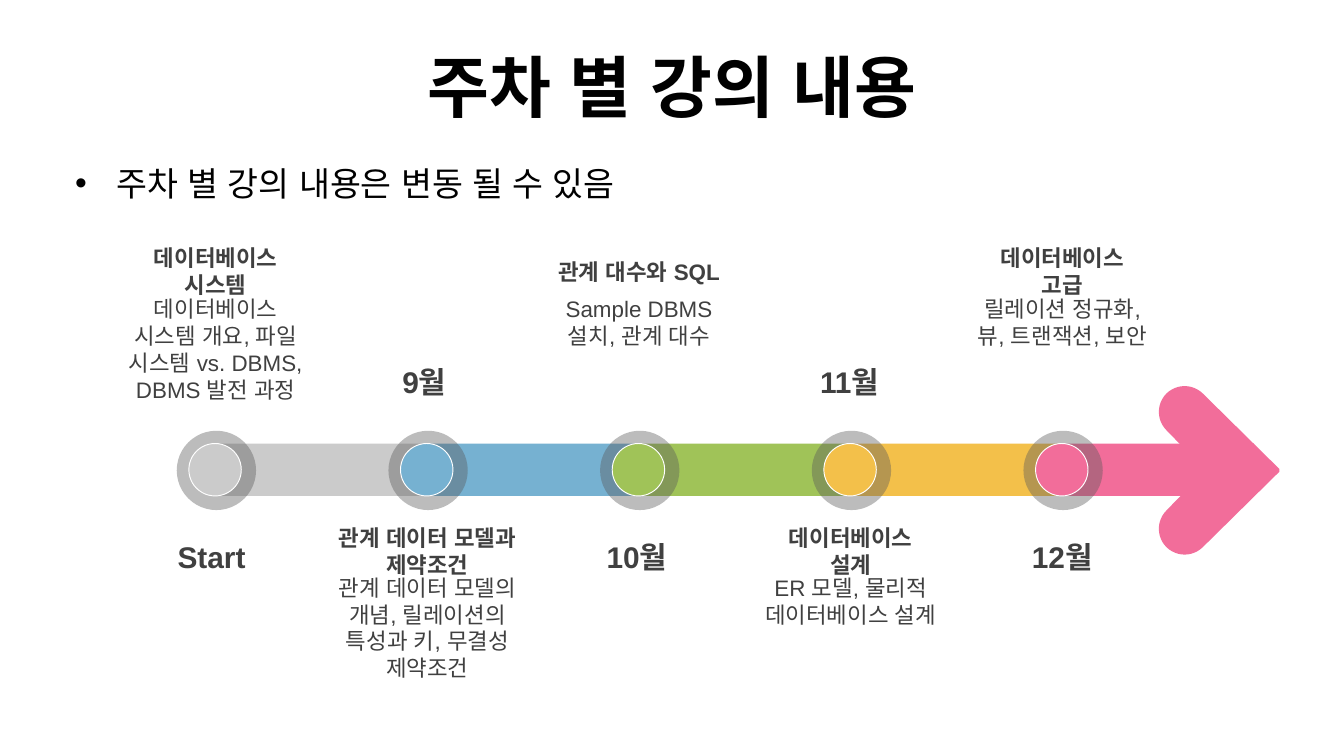
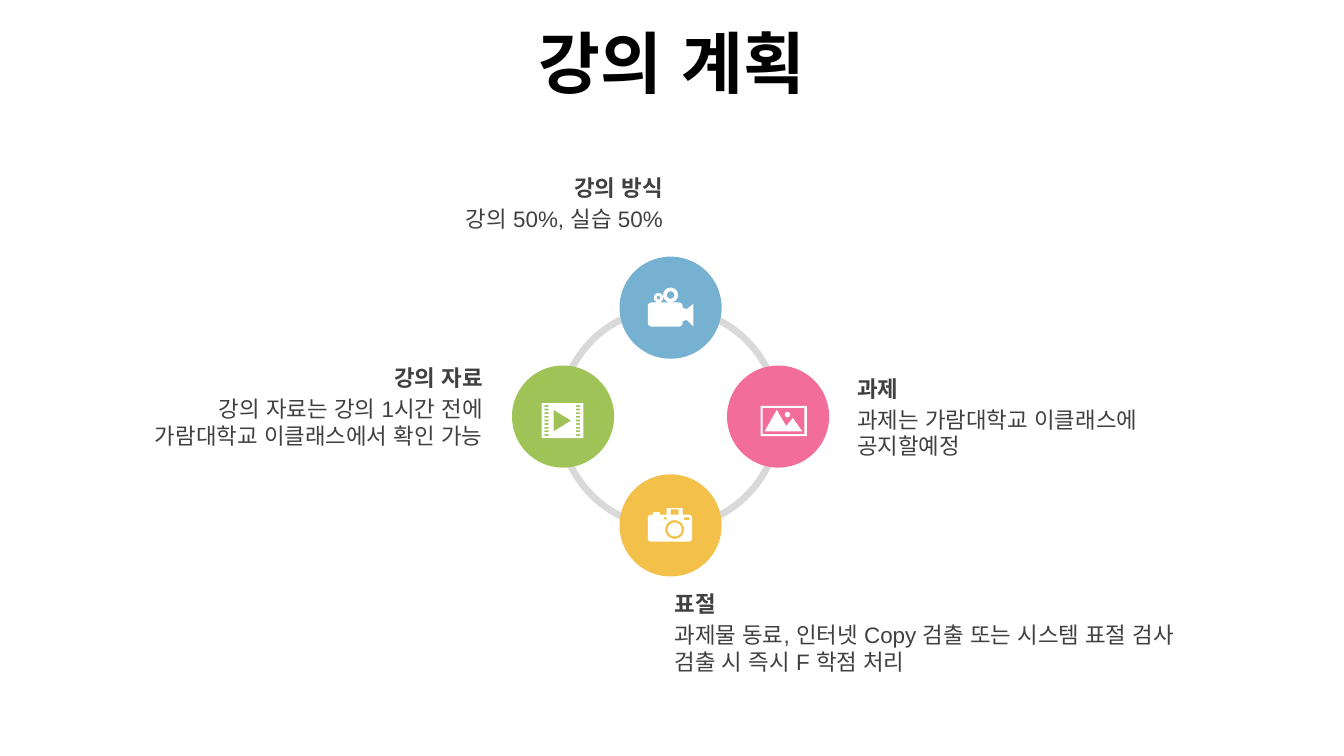
"""Builds two course slides: a monthly timeline and a lecture plan cycle."""
import math

import lxml.etree
import pptx
import pptx.dml.color
import pptx.enum.lang
import pptx.enum.shapes
import pptx.enum.text
import pptx.oxml.ns
import pptx.util

SHAPE = pptx.enum.shapes.MSO_SHAPE
ALIGN = pptx.enum.text.PP_ALIGN
ANCHOR = pptx.enum.text.MSO_ANCHOR
KOREAN = pptx.enum.lang.MSO_LANGUAGE_ID.KOREAN

GRAY, BLUE, GREEN, YELLOW, PINK = "CBCBCB", "76B1D1", "A0C358", "F3C04A", "F26D9A"
WHITE, BLACK, INK, HALO, RING = "FFFFFF", "000000", "404040", "595959", "D9D9D9"
COLUMNS = 100


def rgb(code):
    return pptx.dml.color.RGBColor.from_string(code)


def apply(target, values):
    for name, value in values.items():
        setattr(target, name, value)


def xml_child(parent, tag, **attributes):
    return lxml.etree.SubElement(parent, pptx.oxml.ns.qn(tag), **attributes)


def arc(x, y, radius, start=0, sweep=360):
    angles = [math.radians(start + sweep * step / 24) for step in range(25)]
    return [(x + radius * math.cos(a), y + radius * math.sin(a)) for a in angles]


def box(x, y, width, height):
    return [(x, y), (x + width, y), (x + width, y + height), (x, y + height)]


def rounded(x, y, width, height, radius):
    corners = box(x + radius, y + radius, width - 2 * radius, height - 2 * radius)
    return [point for turn, corner in enumerate(corners)
            for point in arc(*corner, radius, 180 + 90 * turn, 90)]


class Deck:
    """Holds the style and the current slide; lengths are in grid columns, square cells."""

    def __init__(self):
        self.show = pptx.Presentation()
        apply(self.show, {"slide_width": pptx.util.Pt(720),
                          "slide_height": pptx.util.Pt(405)})
        self.cell = self.show.slide_width / COLUMNS
        self.slide = None

    def grid(self, *lengths):
        return [pptx.util.Emu(round(length * self.cell)) for length in lengths]

    def page(self, title, top):
        self.slide = self.show.slides.add_slide(self.show.slide_layouts[6])
        self.text((0, top, COLUMNS, 8.5), [title], size=36, bold=True, color=BLACK,
                  align=ALIGN.CENTER, anchor=ANCHOR.MIDDLE)

    def text(self, place, lines, size=12, bold=False, color=INK, align=ALIGN.LEFT,
             anchor=ANCHOR.TOP, wrap=True):
        frame = self.slide.shapes.add_textbox(*self.grid(*place)).text_frame
        apply(frame, {"word_wrap": wrap, "vertical_anchor": anchor})
        frame.text = "\n".join(lines)
        for paragraph in frame.paragraphs:
            paragraph.alignment = align
            for run in paragraph.runs:
                apply(run.font, {"name": "Arial", "size": pptx.util.Pt(size),
                                 "bold": bold, "language_id": KOREAN})
                run.font.color.rgb = rgb(color)
                xml_child(run.font._element, "a:ea", typeface="Arial")
        return frame

    def bullet(self, place, line):
        frame = self.text(place, [line], size=18, color=BLACK)
        margin, indent = self.grid(8.1, -3.1)
        properties = frame.paragraphs[0]._p.get_or_add_pPr()
        properties.set("marL", str(margin))
        properties.set("indent", str(indent))
        xml_child(properties, "a:buFont", typeface="Arial")
        xml_child(properties, "a:buChar", char="•")

    def paint(self, shape, fill, line=None, opacity=None):
        shape.shadow.inherit = False
        shape.fill.solid()
        shape.fill.fore_color.rgb = rgb(fill)
        if opacity:
            color = shape._element.spPr.find(".//" + pptx.oxml.ns.qn("a:srgbClr"))
            xml_child(color, "a:alpha", val=str(opacity * 1000))
        if line:
            shape.line.color.rgb = rgb(line)
            shape.line.width = pptx.util.Pt(0.5)
        else:
            shape.line.fill.background()
        return shape

    def shape(self, preset, place, fill, **finish):
        drawn = self.slide.shapes.add_shape(preset, *self.grid(*place))
        return self.paint(drawn, fill, **finish)

    def circle(self, x, y, diameter, fill, **finish):
        corner = (x - diameter / 2, y - diameter / 2)
        self.shape(SHAPE.OVAL, (*corner, diameter, diameter), fill, **finish)

    def outline(self, contours, fill):
        contours = [[self.grid(*point) for point in contour] for contour in contours]
        builder = self.slide.shapes.build_freeform(*contours[0][0], scale=1.0)
        for contour in contours:
            builder.move_to(*contour[0])
            builder.add_line_segments(contour[1:], close=True)
        self.paint(builder.convert_to_shape(), fill)


def timeline(deck):
    stages = [
        ("Start", GRAY, ["데이터베이스", "시스템"],
         ["데이터베이스 시스템 개요, 파일 시스템 vs. DBMS,", "DBMS 발전 과정"]),
        ("9월", BLUE, ["관계 데이터 모델과 제약조건"],
         ["관계 데이터 모델의 개념, 릴레이션의 특성과 키, 무결성 제약조건"]),
        ("10월", GREEN, ["관계 대수와 SQL"], ["Sample DBMS 설치, 관계 대수"]),
        ("11월", YELLOW, ["데이터베이스", "설계"], ["ER 모델, 물리적 데이터베이스 설계"]),
        ("12월", PINK, ["데이터베이스", "고급"], ["릴레이션 정규화, 뷰, 트랜잭션, 보안"]),
    ]
    pitch, month_pitch, first, axis = 15.75, 15.82, 16.1, 35
    deck.page("주차 별 강의 내용", 2.1)
    for index, (_, color, _, _) in enumerate(stages):
        length = 14.3 if color == PINK else pitch
        deck.shape(SHAPE.RECTANGLE, (16 + index * pitch, 33, length, 3.9), color)
    arrow = (arc(88.15, 30.65, 1.92, -45, -180) + [(89.7, axis)]
             + arc(88.15, 39.35, 1.92, 225, -180) + [(95.2, 35.1), (95.2, 34.9)])
    deck.outline([arrow], PINK)
    for index, (month, color, topic, details) in enumerate(stages):
        center = first + index * pitch
        deck.circle(center, axis, 5.9, HALO, opacity=40)
        deck.circle(center - 0.1, axis - 0.05, 3.9, color, line=WHITE)
        above = index % 2 == 0
        month_top, topic_top, details_top = (39.6, 17.7, 21.5) if above else (26.6, 38.5, 42.2)
        deck.text((12.1 + index * month_pitch, month_top, 7.3, 3.7), [month], size=16,
                  bold=True, align=ALIGN.CENTER, wrap=False)
        left = center - 7.8
        deck.text((left, topic_top, 15.5, 5), topic, bold=True,
                  align=ALIGN.CENTER, anchor=ANCHOR.MIDDLE)
        deck.text((left, details_top, 15.5, 9.1), details, align=ALIGN.CENTER)
    deck.bullet((-0.4, 11.6, 84.9, 4), "주차 별 강의 내용은 변동 될 수 있음")


def plan(deck):
    center_x, center_y, reach_x, reach_y = 49.9, 31, 8, 8.1
    video = [rounded(48.2, 22.5, 2.6, 1.8, 0.3),
             [(50.8, 22.9), (51.1, 23), (51.6, 22.6), (51.6, 24.3), (51.1, 23.8), (50.8, 23.9)],
             arc(49.9, 21.95, 0.55), arc(49.9, 21.95, 0.28),
             arc(49, 22.15, 0.35), arc(49, 22.15, 0.13)]
    camera = [rounded(48.2, 38.3, 3.3, 2, 0.25), box(48.6, 38.1, 0.5, 0.2),
              box(49.6, 37.8, 1.2, 0.5), box(49.9, 37.9, 0.6, 0.4),
              box(49.4, 38.5, 0.2, 0.15), box(50.9, 38.5, 0.4, 0.2),
              arc(50.2, 39.4, 0.7), arc(50.2, 39.4, 0.52)]
    film = [box(40.3, 30, 3.1, 2.6), [(41.2, 30.5), (41.2, 32.1), (42.5, 31.3)]]
    film += [box(x, 30.15 + 0.27 * row, 0.32, 0.13) for x in (40.5, 42.85) for row in range(9)]
    photo = [box(56.6, 30.2, 3.45, 2.25), box(56.75, 30.35, 3.1, 1.95), arc(58.6, 30.85, 0.2),
             [(57.8, 30.5), (58.5, 31.7), (59, 31.1), (59.7, 32.1), (56.9, 32.1)]]
    hubs = [(0, -1, BLUE, video), (0, 1, YELLOW, camera),
            (-1, 0, GREEN, film), (1, 0, PINK, photo)]
    notes = [
        (62.8, 27.4, 30.5, ALIGN.LEFT, "과제", ["과제는 가람대학교 이클래스에 공지할예정"]),
        (5.9, 26.6, 31, ALIGN.RIGHT, "강의 자료",
         ["강의 자료는 강의 1시간 전에", "가람대학교 이클래스에서 확인 가능"]),
        (19.3, 12.5, 31, ALIGN.RIGHT, "강의 방식", ["강의 50%, 실습 50%"]),
        (49.2, 43.4, 40.3, ALIGN.LEFT, "표절",
         ["과제물 동료, 인터넷 Copy 검출 또는 시스템 표절 검사 검출 시 즉시 F 학점 처리"]),
    ]
    deck.page("강의 계획", 0.3)
    cycle = deck.shape(SHAPE.DONUT, (41.4, 22.7, 16.8, 16.8), RING)
    cycle.adjustments[0] = 0.03
    for across, down, color, icon in hubs:
        deck.circle(center_x + across * reach_x, center_y + down * reach_y, 7.6, color)
        deck.outline(icon, WHITE)
    for left, top, width, align, heading, details in notes:
        deck.text((left, top + 2.3, width, 5), details, align=align)
        deck.text((left, top, width, 3), [heading], bold=True, align=align)


def main():
    deck = Deck()
    timeline(deck)
    plan(deck)
    deck.show.save("out.pptx")


if __name__ == "__main__":
    main()
